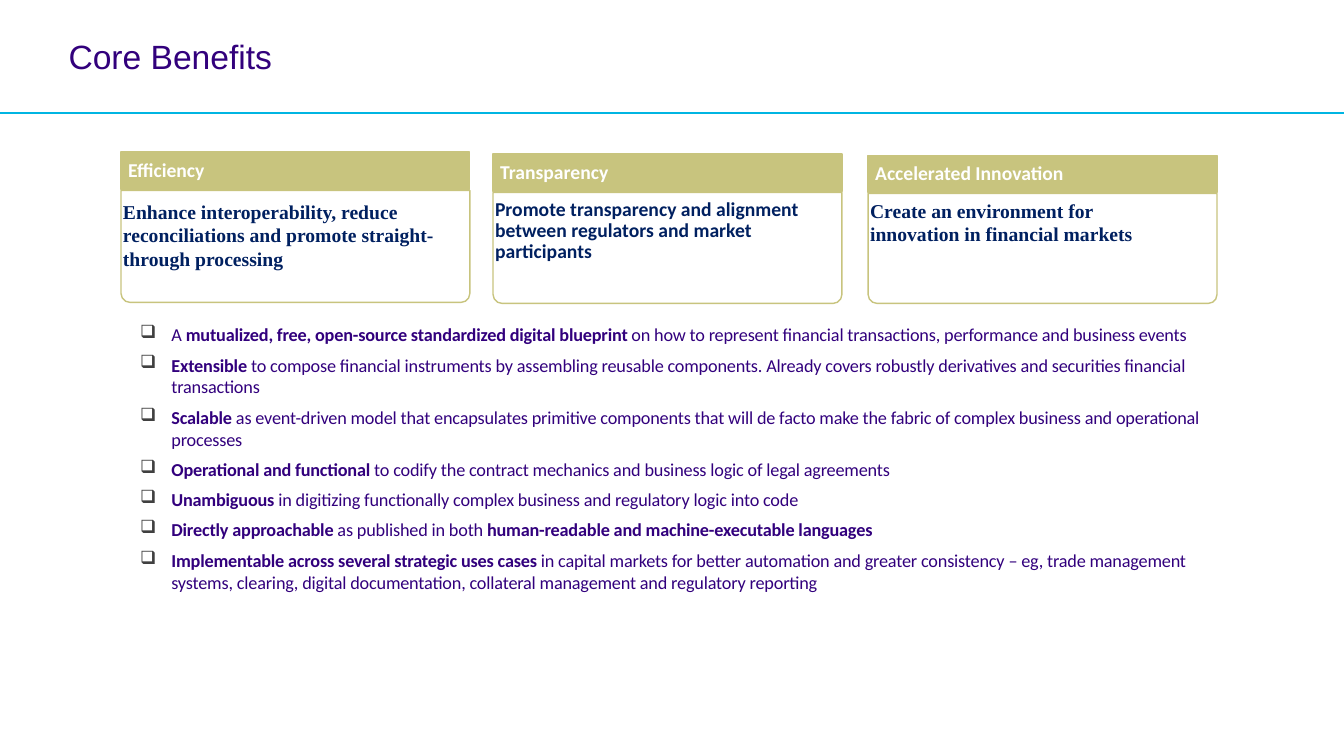
from lxml import etree
from pptx import Presentation
from pptx.dml.color import RGBColor
from pptx.enum import shapes, text
from pptx.oxml.ns import qn
from pptx.util import Inches, Pt

PURPLE, NAVY, GOLD, WHITE = "32007D", "002060", "C8C47E", "FFFFFF"

# Left, header top, body height, heading, message, message top, message format
CARDS = [
    (1.2, 1.51, 1.11, "Efficiency",
     ["Enhance interoperability, reduce reconciliations and promote straight-through processing"],
     1.91, {"font": "Times New Roman"}),
    (4.89, 1.53, 1.1, "Transparency",
     ["Promote transparency and alignment between regulators and market participants"],
     1.91, {"font": "Calibri", "line": 0.9}),
    (8.61, 1.54, 1.09, "Accelerated Innovation",
     ["Create an environment for", "innovation in financial markets"],
     1.9, {"font": "Times New Roman"}),
]

BENEFITS = [
    "A **mutualized, free, open-source standardized digital blueprint **on how to represent "
    "financial transactions, performance and business events",
    "**Extensible** to compose financial instruments by assembling reusable components. "
    "Already covers robustly derivatives and securities financial transactions",
    "**Scalable** as event-driven model that encapsulates primitive components that will "
    "de facto make the fabric of complex business and operational processes",
    "**Operational and functional **to codify the contract mechanics and business logic "
    "of legal agreements",
    "**Unambiguous** in digitizing functionally complex business and regulatory logic into code",
    "**Directly approachable **as published in both "
    "**human-readable and machine-executable languages**",
    "**Implementable across several strategic uses cases **in capital markets for better "
    "automation and greater consistency – eg, trade management systems, clearing, digital "
    "documentation, collateral management and regulatory reporting",
]


def rgb(value):
    return RGBColor.from_string(value)


def add_bullet(p):
    """Give the paragraph a hanging box bullet and a tab at its indent."""
    pPr = p._p.get_or_add_pPr()
    indent = Inches(0.41)
    pPr.set("marL", str(indent))
    pPr.set("indent", str(-Inches(0.31)))
    color = etree.SubElement(pPr, qn("a:buClr"))
    etree.SubElement(color, qn("a:srgbClr"), val="404040")
    etree.SubElement(pPr, qn("a:buChar"), char="❑")
    tabs = etree.SubElement(pPr, qn("a:tabLst"))
    etree.SubElement(tabs, qn("a:tab"), pos=str(indent), algn="l")


def add_text(s, box, paragraphs, size=14, font="Calibri", color=PURPLE, bold=False,
             line=None, before=0, spacing=None, bullets=False, insets=(0, 0, 0, 0),
             anchor=text.MSO_ANCHOR.TOP):
    """Add a text box; ** in a paragraph switches between bold and regular."""
    tf = s.shapes.add_textbox(*map(Inches, box)).text_frame
    tf.word_wrap = True
    tf.vertical_anchor = anchor
    tf.margin_left, tf.margin_top, tf.margin_right, tf.margin_bottom = map(Inches, insets)
    for i, content in enumerate(paragraphs):
        p = tf.paragraphs[0] if i == 0 else tf.add_paragraph()
        if bullets:
            add_bullet(p)
        if line:
            p.line_spacing = line
        if i and before:
            p.space_before = Pt(before)
        for j, part in enumerate(content.split("**")):
            if not part:
                continue
            r = p.add_run()
            r.text = part
            r.font.size, r.font.name = Pt(size), font
            r.font.bold = bold or j % 2 == 1
            r.font.color.rgb = rgb(color)
            if spacing:
                r._r.get_or_add_rPr().set("spc", str(round(spacing * 100)))


def add_panel(s, kind, box, fill):
    sp = s.shapes.add_shape(kind, *map(Inches, box))
    sp.shadow.inherit = False
    sp.fill.solid()
    sp.fill.fore_color.rgb = rgb(fill)
    sp.line.color.rgb = rgb(GOLD)
    sp.line.width = Pt(1)
    return sp


def add_rule(s, y):
    rule = s.shapes.add_connector(shapes.MSO_CONNECTOR.STRAIGHT,
                                  0, Inches(y), Inches(13.33), Inches(y))
    rule.line.color.rgb = rgb("00B5E2")
    rule.line.width = Pt(1)
    etree.SubElement(rule._element.spPr, qn("a:effectLst"))


def add_card(s, left, top, body_height, heading, message, message_top, message_format):
    width, header = 3.46, 0.37
    body = add_panel(s, shapes.MSO_SHAPE.ROUND_2_SAME_RECTANGLE,
                     (left, top + header + 0.01, width, body_height), WHITE)
    body.rotation = 180
    body.adjustments[0] = 0.08
    color = body.fill._xPr.find(qn("a:solidFill"))[0]
    etree.SubElement(color, qn("a:alpha"), val="90000")
    add_text(s, (left, message_top, width, 1.02), message, color=NAVY, bold=True,
             insets=(0.02, 0.07, 0.02, 0.02), **message_format)
    add_panel(s, shapes.MSO_SHAPE.RECTANGLE, (left, top, width, header), GOLD)
    add_text(s, (left, top, 2.44, header), [heading], color=WHITE, bold=True, line=0.9,
             insets=(0.07, 0, 0.03, 0), anchor=text.MSO_ANCHOR.MIDDLE)


def main():
    prs = Presentation()
    prs.slide_width, prs.slide_height = Inches(13.33), Inches(7.5)
    s = prs.slides.add_slide(prs.slide_layouts[6])
    add_text(s, (0.68, 0.11, 8.6, 0.95), ["Core Benefits"], size=24, font="Arial",
             color="32007C", line=0.9, anchor=text.MSO_ANCHOR.MIDDLE)
    add_rule(s, 1.12)
    add_text(s, (1.29, 3.15, 10.85, 3.06), BENEFITS, size=13, before=6, spacing=-0.1,
             bullets=True, insets=(0, 0.06, 0, 0))
    for card in CARDS:
        add_card(s, *card)
    prs.save("out.pptx")


if __name__ == "__main__":
    main()
